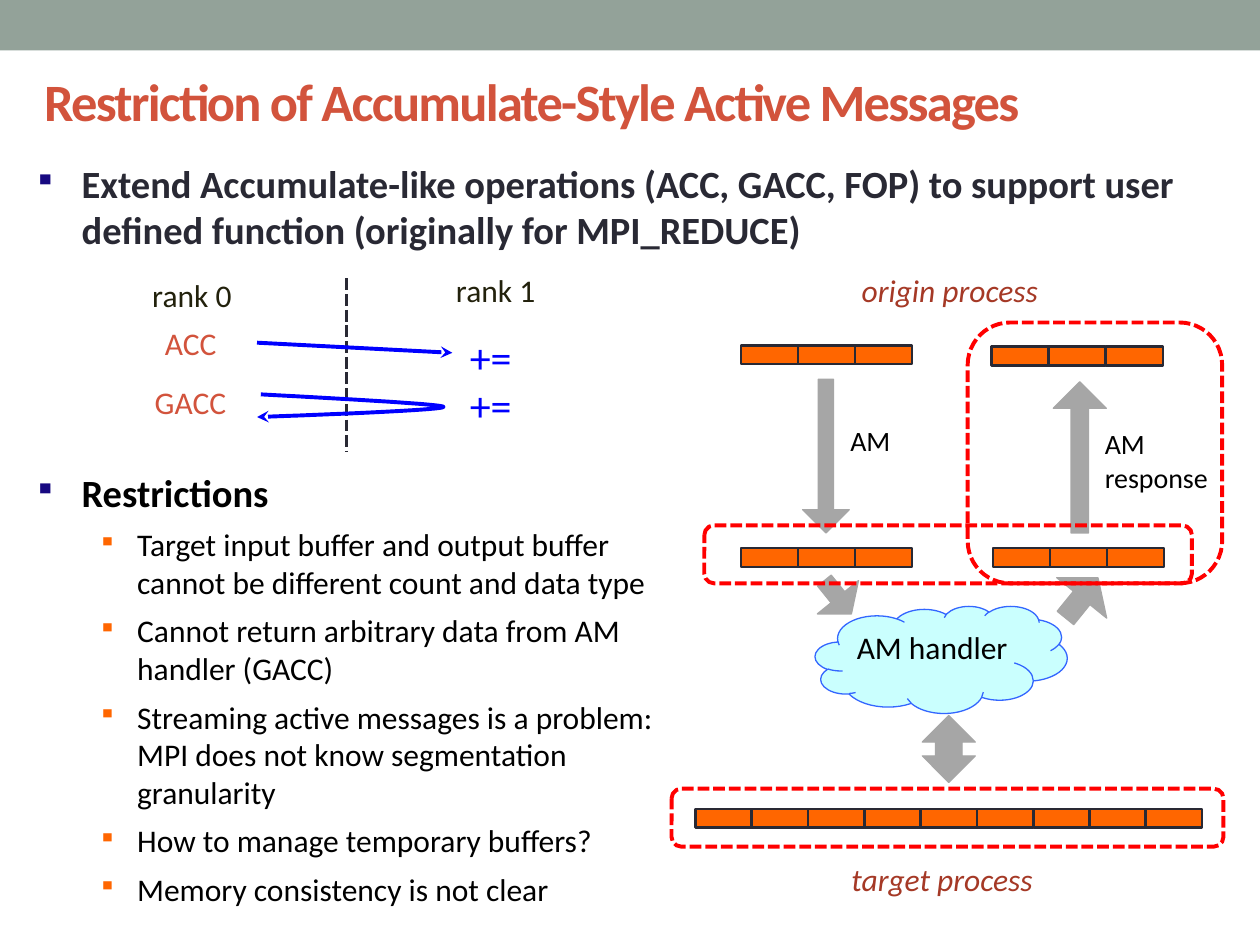
from lxml import etree
from pptx import Presentation
from pptx.dml.color import RGBColor
from pptx.enum.dml import MSO_LINE
from pptx.enum.shapes import MSO_CONNECTOR, MSO_SHAPE
from pptx.enum.text import MSO_ANCHOR, MSO_AUTO_SIZE, PP_ALIGN
from pptx.oxml.ns import qn
from pptx.util import Inches, Pt

RECT, ROUND, CLOUD = MSO_SHAPE.RECTANGLE, MSO_SHAPE.ROUNDED_RECTANGLE, MSO_SHAPE.CLOUD
DOWN, BOTH = MSO_SHAPE.DOWN_ARROW, MSO_SHAPE.UP_DOWN_ARROW
DASH = MSO_LINE.SQUARE_DOT
TOP, MIDDLE = MSO_ANCHOR.TOP, MSO_ANCHOR.MIDDLE
LEFT, CENTER = PP_ALIGN.LEFT, PP_ALIGN.CENTER

THEME = {
    "font": "Calibri",
    "bar": "93A299", "title": "D2533C", "ink": "292934", "black": "000000",
    "rank": "22210C", "blue": "0000FF", "role": "A53926", "cell": "FF6600",
    "gray": "A6A6A6", "cloud": "CAFFFE", "rim": "3366FF", "frame": "FF0000",
    "mark": "170981", "submark": "FF6600",
    "head": 30, "lead": 22, "sign": 24, "body": 18, "small": 16,
}

# Content: boxes are (left, top, width, height)
TITLE = "Restriction of Accumulate-Style Active Messages"
LEAD = ("Extend Accumulate-like operations (ACC, GACC, FOP) to support user "
        "defined function (originally for MPI_REDUCE)")
LIMITS = [
    "Target input buffer and output buffer cannot be different count and data type",
    "Cannot return arbitrary data from AM handler (GACC)",
    "Streaming active messages is a problem: MPI does not know segmentation granularity",
    "How to manage temporary buffers?",
    "Memory consistency is not clear",
]
LABELS = [  # text, box, size, colour, italic
    ("rank 0", (1.11, 2.14, 0.86, 0.4), "body", "rank", False),
    ("rank 1", (3.52, 2.1, 0.89, 0.4), "body", "rank", False),
    ("ACC", (1.21, 2.52, 0.65, 0.4), "body", "title", False),
    ("GACC", (1.13, 2.99, 0.8, 0.4), "body", "title", False),
    ("+=", (3.63, 2.58, 0.78, 0.5), "sign", "blue", False),
    ("+=", (3.63, 2.96, 0.78, 0.5), "sign", "blue", False),
    ("origin process", (6.74, 2.1, 2.42, 0.4), "body", "role", True),
    ("target process", (6.66, 6.78, 2.34, 0.4), "body", "role", True),
    ("AM", (6.65, 3.31, 0.78, 0.38), "small", "black", False),
    ("AM response", (8.67, 3.34, 1.28, 0.64), "small", "black", False),
]
BUFFERS = [  # left, top, total width, cell count
    (5.88, 2.74, 1.36, 3), (7.87, 2.75, 1.36, 3),
    (5.88, 4.35, 1.36, 3), (7.88, 4.35, 1.36, 3),
    (5.52, 6.42, 4.02, 9),
]
ARROWS = [  # shape, box, rotation, shaft share
    (DOWN, (6.37, 3.01, 0.37, 1.22), 0, 0.33),
    (DOWN, (8.36, 3.03, 0.42, 1.2), 180, 0.33),
    (DOWN, (6.44, 4.57, 0.42, 0.34), 321, 0.33),
    (DOWN, (8.33, 4.54, 0.51, 0.41), 219, 0.33),
    (BOTH, (7.32, 5.68, 0.42, 0.53), 0, 0.45),
]
FRAMES = [(5.59, 4.17, 3.87, 0.46), (5.33, 6.26, 4.38, 0.46), (7.68, 2.56, 2.02, 2.07)]
LOOP = [  # cubic curves of the GACC round trip
    [(2.07, 3.13), (2.8, 3.17), (3.53, 3.21), (3.52, 3.23)],
    [(3.52, 3.23), (3.52, 3.26), (2.04, 3.31), (2.04, 3.31)],
]
STEPS = 16


def color(key):
    return RGBColor.from_string(THEME[key])


def inches(box):
    return [Inches(v) for v in box]


def style(para, size, tint, bold=False, italic=False):
    font = para.font
    font.name, font.size = THEME["font"], Pt(THEME[size])
    font.bold, font.italic = bold, italic
    font.color.rgb = color(tint)


def bullet(para, tint, margin, hang):
    props = para._p.get_or_add_pPr()
    props.set("marL", str(Inches(margin)))
    props.set("indent", str(-Inches(hang)))
    fill = etree.SubElement(props, qn("a:buClr"))
    etree.SubElement(fill, qn("a:srgbClr"), val=THEME[tint])
    etree.SubElement(props, qn("a:buSzPct"), val="80000")
    etree.SubElement(props, qn("a:buChar"), char="▪")


def textbox(slide, box):
    frame = slide.shapes.add_textbox(*inches(box)).text_frame
    frame.word_wrap = True
    return frame


def outline(line, tint, width, dash=None):
    line.color.rgb, line.width = color(tint), Pt(width)
    if dash:
        line.dash_style = dash


def shape(slide, kind, box, fill=None, line=None, width=0.75, dash=None):
    item = slide.shapes.add_shape(kind, *inches(box))
    item.shadow.inherit = False
    if fill:
        item.fill.solid()
        item.fill.fore_color.rgb = color(fill)
    else:
        item.fill.background()
    if line:
        outline(item.line, line, width, dash)
    else:
        item.line.fill.background()
    return item


def tip(item):
    etree.SubElement(item.line._get_or_add_ln(), qn("a:tailEnd"), type="stealth")


def link(slide, start, end, tint, dash=None):
    item = slide.shapes.add_connector(MSO_CONNECTOR.STRAIGHT, *inches(start + end))
    outline(item.line, tint, 2.25, dash)
    etree.SubElement(item._element.spPr, qn("a:effectLst"))
    return item


def bezier(curve, t):
    shares = ((1 - t) ** 3, 3 * t * (1 - t) ** 2, 3 * t * t * (1 - t), t ** 3)
    return tuple(Inches(sum(s * p[axis] for s, p in zip(shares, curve))) for axis in (0, 1))


def main():
    deck = Presentation()
    deck.slide_width, deck.slide_height = Inches(10), Inches(7.5)
    slide = deck.slides.add_slide(deck.slide_layouts[5])
    shape(slide, RECT, (0, 0, 10, 0.4), "bar")

    # Title
    title = slide.shapes.title
    title.left, title.top, title.width, title.height = inches((0.25, 0.37, 9.15, 0.85))
    frame = title.text_frame
    frame.text, frame.vertical_anchor = TITLE, MIDDLE
    frame.auto_size = MSO_AUTO_SIZE.NONE
    para = frame.paragraphs[0]
    para.alignment = LEFT
    style(para, "head", "title", bold=True)
    para._p.pPr.find(qn("a:defRPr")).set("spc", "-100")

    # Bulleted text
    para = textbox(slide, (-0.05, 1.22, 9.58, 0.92)).paragraphs[0]
    para.text = LEAD
    bullet(para, "mark", 0.6, 0.38)
    style(para, "lead", "ink", bold=True)
    frame = textbox(slide, (-0.05, 3.67, 5.61, 3.64))
    para = frame.paragraphs[0]
    para.text = "Restrictions"
    bullet(para, "mark", 0.6, 0.38)
    style(para, "lead", "black", bold=True)
    for limit in LIMITS:
        para = frame.add_paragraph()
        para.text, para.level = limit, 1
        bullet(para, "submark", 1.04, 0.31)
        para.space_before = Pt(6)
        style(para, "body", "black")

    # Rank diagram
    link(slide, (2.75, 2.21), (2.75, 3.58), "ink", DASH)
    tip(link(slide, (2.04, 2.72), (3.59, 2.8), "blue"))
    points = [bezier(curve, n / STEPS) for curve in LOOP for n in range(STEPS + 1)]
    pen = slide.shapes.build_freeform(*points[0])
    pen.add_line_segments(points[1:], close=False)
    loop = pen.convert_to_shape()
    loop.shadow.inherit = False
    loop.fill.background()
    outline(loop.line, "blue", 2.25)
    tip(loop)

    # Message flow
    cloud = shape(slide, CLOUD, (6.47, 4.81, 2, 0.85), "cloud", "rim")
    frame = cloud.text_frame
    frame.text, frame.word_wrap, frame.vertical_anchor = "AM handler", False, TOP
    frame.paragraphs[0].alignment = CENTER
    style(frame.paragraphs[0], "body", "black")
    for left, top, span, count in BUFFERS:
        wide = span / count
        for n in range(count):
            shape(slide, RECT, (left + n * wide, top, wide, 0.15), "cell", "ink", 1.5)
    for kind, box, turn, shaft in ARROWS:
        arrow = shape(slide, kind, box, "gray", "gray")
        arrow.rotation = turn
        arrow.adjustments[0], arrow.adjustments[1] = shaft, 0.5

    # Labels and dashed frames
    for text, box, size, tint, italic in LABELS:
        para = textbox(slide, box).paragraphs[0]
        para.text = text
        style(para, size, tint, italic=italic)
    for box in FRAMES:
        shape(slide, ROUND, box, line="frame", width=2.25, dash=DASH)

    deck.save("out.pptx")


if __name__ == "__main__":
    main()
